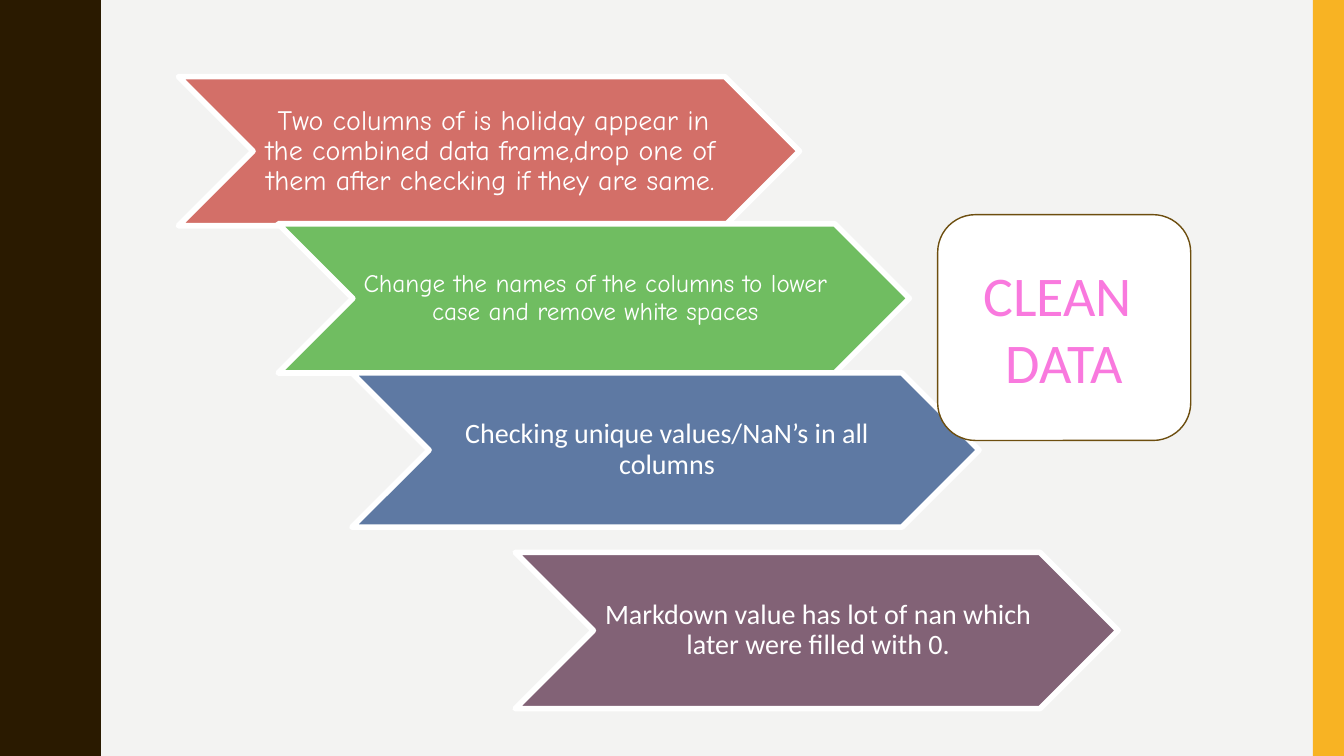
import pptx
import pptx.dml.color
import pptx.enum.shapes
import pptx.enum.text
import pptx.util

Inches = pptx.util.Inches
Pt = pptx.util.Pt
RGBColor = pptx.dml.color.RGBColor
MSO_SHAPE = pptx.enum.shapes.MSO_SHAPE

PAPER = RGBColor(0xF3, 0xF3, 0xF2)
BROWN = RGBColor(0x2A, 0x1A, 0x00)
GOLD = RGBColor(0xF8, 0xB3, 0x23)
WHITE = RGBColor(0xFF, 0xFF, 0xFF)
RED = RGBColor(0xD3, 0x6F, 0x68)
GREEN = RGBColor(0x70, 0xBD, 0x61)
BLUE = RGBColor(0x5E, 0x79, 0xA3)
PLUM = RGBColor(0x82, 0x62, 0x76)
OCHRE = RGBColor(0x6D, 0x4E, 0x0F)
PINK = RGBColor(0xF9, 0x79, 0xDE)

WIDTH, HEIGHT = 13.33, 7.5
SANS, COMIC = "Calibri", "Comic Neue"

# Left, top, width, height, fill, text size and runs of (text, font)
STEPS = [
    (1.77, 0.76, 6.16, 1.48, RED, 20,
     [(" ", SANS),
      ("Two columns of is holiday appear in the combined data frame,"
       "drop one of them after checking if they are same.", COMIC)]),
    (2.76, 2.22, 6.26, 1.48, GREEN, 18,
     [("Change the names of the columns to lower case and remove white spaces",
       COMIC)]),
    (3.49, 3.7, 6.22, 1.53, BLUE, 20,
     [("Checking unique values/NaN’s in all columns", SANS)]),
    (5.11, 5.48, 5.98, 1.55, PLUM, 20,
     [("Markdown value has lot of nan which later were filled with 0.", SANS)]),
]

# One half wave of the left edge, as (x, drop) in inches
TROUGH, CREST, HALF, WAVES = 0.78, 0.97, 0.75, 5
CURVE = [(0.78, 0), (0.78, 0.07), (0.79, 0.14), (0.8, 0.2), (0.81, 0.25),
         (0.83, 0.29), (0.85, 0.33), (0.87, 0.38), (0.89, 0.42), (0.91, 0.46),
         (0.93, 0.5), (0.95, 0.55), (0.96, 0.61), (0.97, 0.68)]


def paint(shape, fill, line=None, weight=1):
    shape.shadow.inherit = False
    shape.fill.solid()
    shape.fill.fore_color.rgb = fill
    if line is None:
        shape.line.fill.background()
    else:
        shape.line.color.rgb = line
        shape.line.width = Pt(weight)


def add_shape(slide, kind, left, top, width, height, fill, line=None, weight=1):
    shape = slide.shapes.add_shape(kind, Inches(left), Inches(top),
                                   Inches(width), Inches(height))
    paint(shape, fill, line, weight)
    return shape


def style_run(run, font, size, color):
    run.font.name = font
    run.font.size = Pt(size)
    run.font.color.rgb = color


def add_wave(slide):
    """Draw the left band; each falling half wave mirrors the rising one."""
    points = [(TROUGH, 0)]
    for half in range(2 * WAVES):
        for x, drop in CURVE:
            edge = x if half % 2 == 0 else TROUGH + CREST - x
            points.append((edge, half * HALF + drop))
    points += [(TROUGH, HEIGHT), (0, HEIGHT)]
    pen = slide.shapes.build_freeform(0, 0, scale=Inches(1))
    pen.add_line_segments(points, close=True)
    paint(pen.convert_to_shape(), BROWN)


def add_step(slide, left, top, width, height, fill, size, runs):
    shape = add_shape(slide, MSO_SHAPE.CHEVRON, left, top, width, height,
                      fill, WHITE, 4)
    frame = shape.text_frame
    frame.word_wrap = True
    frame.vertical_anchor = pptx.enum.text.MSO_ANCHOR.MIDDLE
    frame.margin_left = Inches(0.03)
    frame.margin_right = 0
    frame.margin_top = frame.margin_bottom = Inches(0.01)
    para = frame.paragraphs[0]
    para.alignment = pptx.enum.text.PP_ALIGN.CENTER
    para.line_spacing = 0.9
    for text, font in runs:
        run = para.add_run()
        run.text = text
        style_run(run, font, size, WHITE)


def add_title(slide):
    shape = add_shape(slide, MSO_SHAPE.FLOWCHART_ALTERNATE_PROCESS,
                      9.3, 2.13, 2.51, 2.24, WHITE, OCHRE)
    frame = shape.text_frame
    frame.word_wrap = True
    frame.vertical_anchor = pptx.enum.text.MSO_ANCHOR.MIDDLE
    frame.text = "CLEAN \nDATA"
    for para in frame.paragraphs:
        para.alignment = pptx.enum.text.PP_ALIGN.CENTER
        style_run(para.runs[0], SANS, 40, PINK)


def main():
    deck = pptx.Presentation()
    deck.slide_width = Inches(WIDTH)
    deck.slide_height = Inches(HEIGHT)
    slide = deck.slides.add_slide(deck.slide_layouts[6])
    slide.background.fill.solid()
    slide.background.fill.fore_color.rgb = PAPER

    add_wave(slide)
    add_shape(slide, MSO_SHAPE.RECTANGLE, 13.02, 0, 0.31, HEIGHT, GOLD)
    for step in STEPS:
        add_step(slide, *step)
    add_title(slide)
    deck.save("out.pptx")


if __name__ == "__main__":
    main()
